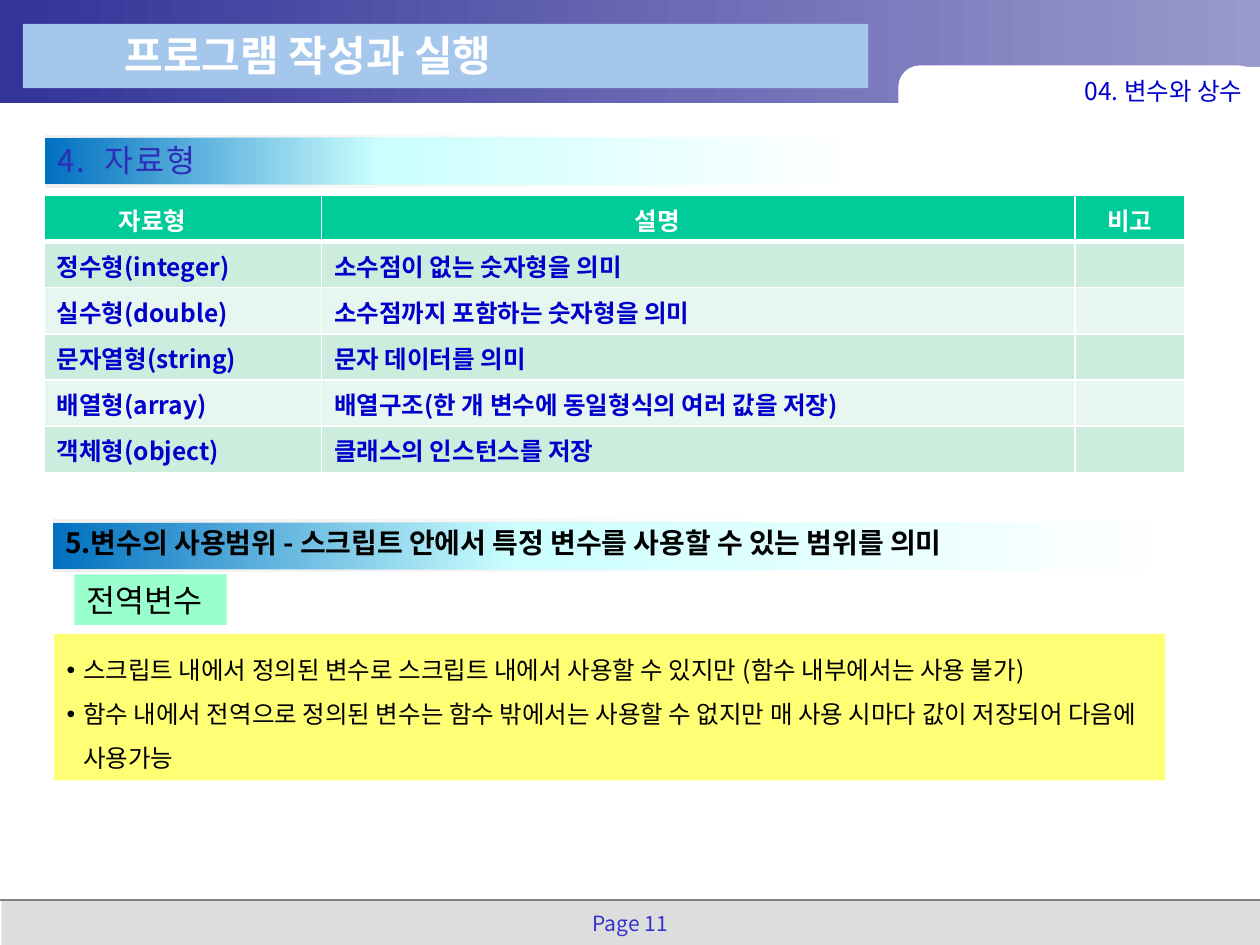
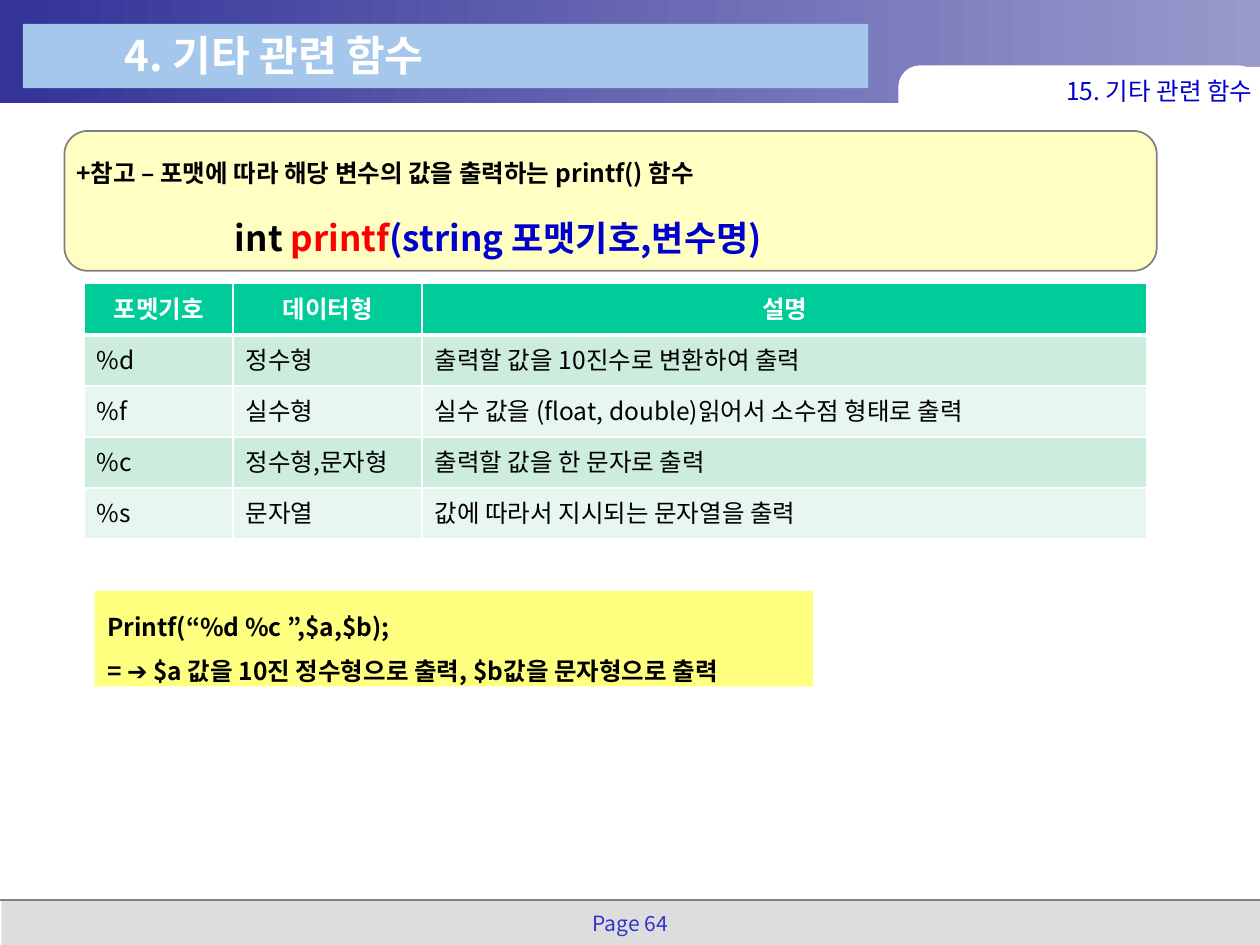
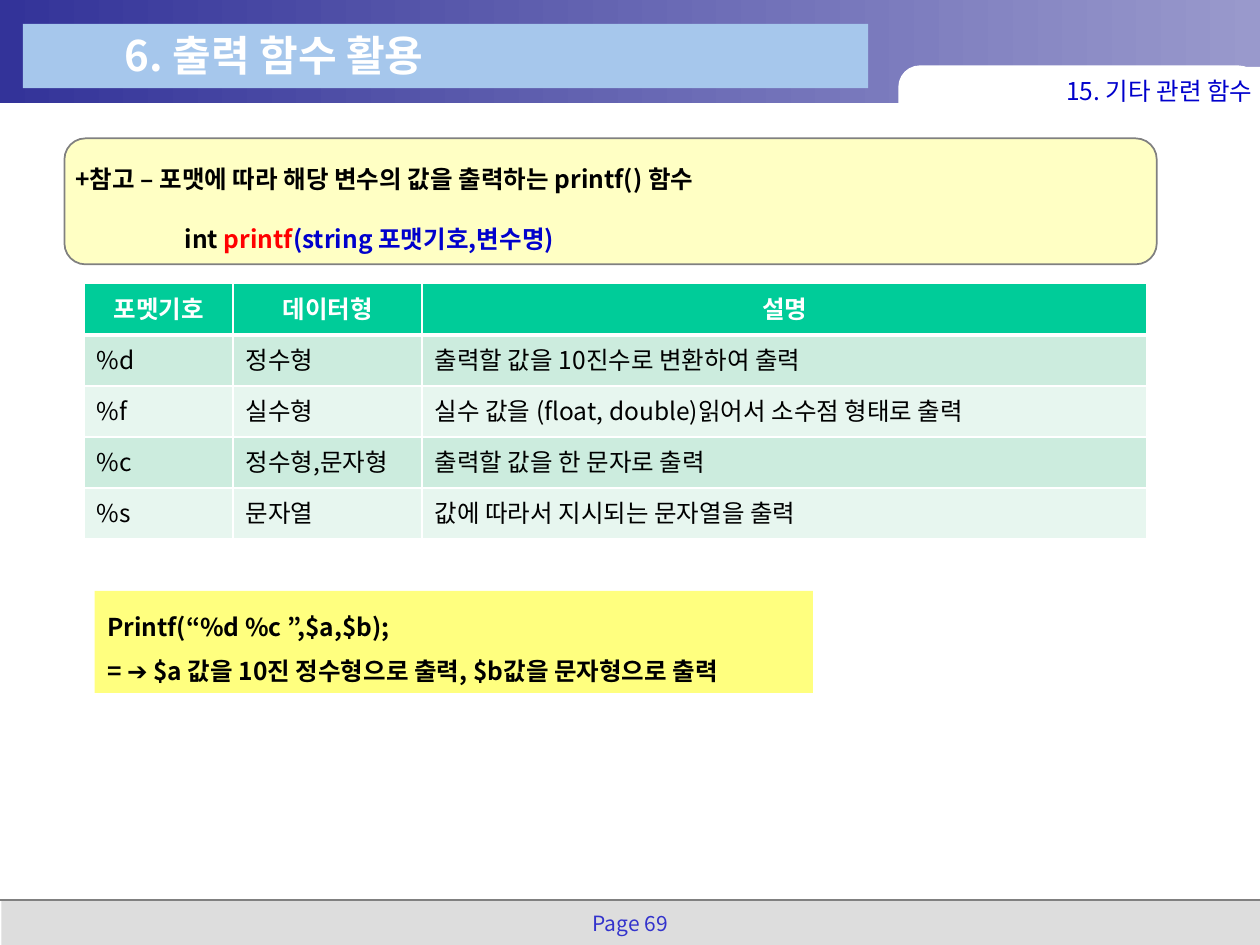
import lxml.etree
import pptx
import pptx.dml.color
import pptx.enum.shapes
import pptx.enum.text
import pptx.oxml.ns
import pptx.util

Cm = pptx.util.Cm
Pt = pptx.util.Pt
RGBColor = pptx.dml.color.RGBColor
SHAPE = pptx.enum.shapes.MSO_SHAPE
ALIGN = pptx.enum.text.PP_ALIGN
ANCHOR = pptx.enum.text.MSO_ANCHOR
qn = pptx.oxml.ns.qn
SubElement = lxml.etree.SubElement

FONT = "Noto Sans CJK KR"
WHITE = RGBColor(0xFF, 0xFF, 0xFF)
BLACK = RGBColor(0, 0, 0)
RED = RGBColor(0xFF, 0, 0)
YELLOW = RGBColor(0xFF, 0xFF, 0)
GRAY = RGBColor(0x80, 0x80, 0x80)
FOOTER_GRAY = RGBColor(0xDD, 0xDD, 0xDD)
BAND_DARK = RGBColor(0x33, 0x33, 0x99)
BAND_LIGHT = RGBColor(0x99, 0x99, 0xCC)
TITLE_PLATE = RGBColor(0xA6, 0xC7, 0xEC)
TEXT_BLUE = RGBColor(0, 0, 0xCC)
PAGE_BLUE = RGBColor(0x33, 0x33, 0xCC)
HEADING_BLUE = RGBColor(0x2D, 0x2D, 0xB9)
BAR_BLUE = RGBColor(0, 0x70, 0xC0)
BAR_CYAN = RGBColor(0xCC, 0xFF, 0xFF)
EDGE_START = RGBColor(0xF0, 0xF0, 0xF0)
EDGE_END = RGBColor(0xEA, 0xEA, 0xEA)
MINT = RGBColor(0x99, 0xFF, 0xCC)
HEADER_GREEN = RGBColor(0, 0xCC, 0x99)
ROW_DARK = RGBColor(0xCC, 0xEC, 0xDE)
ROW_LIGHT = RGBColor(0xE7, 0xF6, 0xEF)


def paint(shape, *stops):
    """Fill with one (position, colour, opacity) stop, or a gradient of several; no line or shadow."""
    shape.shadow.inherit = False
    shape.line.fill.background()
    properties = shape.element.spPr
    if len(stops) == 1:
        shape.fill.solid()
        shape.fill.fore_color.rgb = stops[0][1]
        colors = [properties.find(qn("a:solidFill")).find(qn("a:srgbClr"))]
    else:
        shape.fill.gradient()
        shape.fill.gradient_angle = 0
        stop_list = properties.find(".//" + qn("a:gsLst"))
        for old_stop in list(stop_list):
            stop_list.remove(old_stop)
        colors = []
        for position, color, _ in stops:
            stop = SubElement(stop_list, qn("a:gs"), pos=str(position * 1000))
            colors.append(SubElement(stop, qn("a:srgbClr"), val=str(color)))
    for color, (_, _, opacity) in zip(colors, stops):
        if opacity < 100:
            SubElement(color, qn("a:alpha"), val=str(opacity * 1000))


def add_run(paragraph, text, size, color, bold=False):
    run = paragraph.add_run()
    run.text = text
    run.font.size = Pt(size)
    run.font.bold = bold
    run.font.color.rgb = color
    run.font.name = FONT
    SubElement(run._r.get_or_add_rPr(), qn("a:ea"), typeface=FONT)
    return run


FORMAT_ROWS = [
    ["포멧기호", "데이터형", "설명"],
    ["%d", "정수형", "출력할 값을 10진수로 변환하여 출력"],
    ["%f", "실수형", "실수 값을 (float, double)읽어서 소수점 형태로 출력"],
    ["%c", "정수형,문자형", "출력할 값을 한 문자로 출력"],
    ["%s", "문자열", "값에 따라서 지시되는 문자열을 출력"],
]
TYPE_ROWS = [
    ["자료형", "설명", "비고"],
    ["정수형(integer)", "소수점이 없는 숫자형을 의미", ""],
    ["실수형(double)", "소수점까지 포함하는 숫자형을 의미", ""],
    ["문자열형(string)", "문자 데이터를 의미", ""],
    ["배열형(array)", "배열구조(한 개 변수에 동일형식의 여러 값을 저장)", ""],
    ["객체형(object)", "클래스의 인스턴스를 저장", ""],
]
TYPE_TABLE = dict(rows=TYPE_ROWS, left=0.89, top=3.94, widths=[5.59, 15.19, 2.21],
                  row_height=0.93, color=TEXT_BLUE, bold=True, header_insets=[1.47, 1.9, 0.25])
FORMAT_TABLE = dict(rows=FORMAT_ROWS, left=1.7, top=5.72, widths=[3, 3.81, 14.61],
                    row_height=1.03, color=BLACK, bold=False, header_insets=[0.25] * 3)
# layout index, title, section, section left, page, table
PAGES = [
    (1, "프로그램 작성과 실행", "04. 변수와 상수", 18.29, 11, TYPE_TABLE),
    (5, "4. 기타 관련 함수", "15. 기타 관련 함수", 18.49, 64, FORMAT_TABLE),
    (5, "6. 출력 함수 활용", "15. 기타 관련 함수", 18.49, 69, FORMAT_TABLE),
]

prs = pptx.Presentation()
prs.slide_width, prs.slide_height = Cm(25.4), Cm(19.05)
slides = [prs.slides.add_slide(prs.slide_layouts[page[0]]) for page in PAGES]

# Bands are drawn on the first slide, then moved to the master that all slides share
shapes = slides[0].shapes
bands = []
for kind, left, top, width, height, stops in [
    (SHAPE.RECTANGLE, 0.03, 18.14, 25.37, 0.91, [(0, FOOTER_GRAY, 100)]),
    (SHAPE.RECTANGLE, 0, 0, 25.4, 2.08, [(0, BAND_DARK, 100), (100, BAND_LIGHT, 100)]),
    (SHAPE.ROUNDED_RECTANGLE, 18.11, 1.32, 7.29, 1.5, [(0, WHITE, 100)]),
    (SHAPE.RECTANGLE, 23.11, 1.35, 2.29, 0.61, [(0, WHITE, 100)]),
    (SHAPE.RECTANGLE, 0.46, 0.48, 17.04, 1.3, [(0, TITLE_PLATE, 100)]),
]:
    band = shapes.add_shape(kind, Cm(left), Cm(top), Cm(width), Cm(height))
    paint(band, *stops)
    if kind == SHAPE.ROUNDED_RECTANGLE:
        band.adjustments[0] = 0.29
    bands.append(band)
footer_rule = shapes.add_connector(pptx.enum.shapes.MSO_CONNECTOR.STRAIGHT,
                                   0, Cm(18.14), Cm(25.4), Cm(18.14))
footer_rule.line.color.rgb = GRAY
footer_rule.line.width = Pt(1)
SubElement(footer_rule.element.spPr, qn("a:effectLst"))
bands.append(footer_rule)
for index, band in enumerate(bands):
    band.element.xpath(".//p:cNvPr")[0].set("id", str(100 + index))
    prs.slide_master.shapes.element.insert(2 + index, band.element)

# Title, section, page number and table of every slide
for slide, (_, title_text, section_text, section_left, page, data) in zip(slides, PAGES):
    title = slide.shapes.title
    title.left, title.top, title.width, title.height = Cm(2.26), Cm(0.46), Cm(12.62), Cm(1.27)
    title.text_frame.auto_size = pptx.enum.text.MSO_AUTO_SIZE.NONE
    title.text_frame.vertical_anchor = ANCHOR.TOP
    title.text_frame.paragraphs[0].alignment = ALIGN.LEFT
    add_run(title.text_frame.paragraphs[0], title_text, 24, WHITE, True)

    section = slide.shapes.add_textbox(Cm(section_left), Cm(1.42), Cm(6.86), Cm(0.81)).text_frame
    section.word_wrap = True
    section.vertical_anchor = ANCHOR.MIDDLE
    section.margin_left = section.margin_right = Cm(0.1)
    section.margin_top = section.margin_bottom = Cm(0.1)
    section.paragraphs[0].alignment = ALIGN.RIGHT
    add_run(section.paragraphs[0], section_text, 14, TEXT_BLUE)

    footer = slide.shapes.add_textbox(Cm(11.56), Cm(18.29), Cm(2.29), Cm(0.71)).text_frame
    footer.word_wrap = True
    footer.paragraphs[0].alignment = ALIGN.CENTER
    footer.paragraphs[0].line_spacing = 0.9
    add_run(footer.paragraphs[0], f"Page {page}", 12, PAGE_BLUE)

    rows, widths = data["rows"], data["widths"]
    table = slide.shapes.add_table(
        len(rows), len(widths), Cm(data["left"]), Cm(data["top"]),
        Cm(sum(widths)), Cm(data["row_height"] * len(rows))).table
    table.horz_banding = False
    for column, width in zip(table.columns, widths):
        column.width = Cm(width)
    for row_index, row in enumerate(rows):
        table.rows[row_index].height = Cm(data["row_height"])
        is_header = row_index == 0
        for column_index, text in enumerate(row):
            cell = table.cell(row_index, column_index)
            cell_properties = cell._tc.get_or_add_tcPr()
            for side in ("lnL", "lnR", "lnT", "lnB"):
                thick = (is_header and side == "lnB") or (row_index == 1 and side == "lnT")
                border = SubElement(cell_properties, qn("a:" + side), w=str(Pt(3 if thick else 1)))
                border_fill = SubElement(border, qn("a:solidFill"))
                SubElement(border_fill, qn("a:srgbClr"), val=str(WHITE))
            cell.fill.solid()
            cell.fill.fore_color.rgb = (
                HEADER_GREEN if is_header else ROW_DARK if row_index % 2 else ROW_LIGHT)
            paragraph = cell.text_frame.paragraphs[0]
            if is_header:
                paragraph.alignment = ALIGN.CENTER
                cell.margin_right = Cm(data["header_insets"][column_index])
                add_run(paragraph, text, 14, WHITE, True)
            elif text:
                add_run(paragraph, text, 14, data["color"], data["bold"])
            else:
                SubElement(paragraph._p, qn("a:endParaRPr"), sz="1400")

# Slide 1: section headings and global variables
shapes = slides[0].shapes
for left, top, width, text, size, color, bold, spacing in [
    (0.91, 2.77, 16.94, "4.  자료형", 18, HEADING_BLUE, False, 100),
    (1.07, 10.52, 23.29,
     "5.변수의 사용범위 - 스크립트 안에서 특정 변수를 사용할 수 있는 범위를 의미",
     16, BLACK, True, 0),
]:
    bar = shapes.add_shape(SHAPE.RECTANGLE, Cm(left), Cm(top), Cm(width), Cm(0.97))
    paint(bar, (0, BAR_BLUE, 100), (40, BAR_CYAN, 100), (97, WHITE, 100))
    for edge_top in (top - 0.04, top + 0.96):
        edge = shapes.add_shape(SHAPE.RECTANGLE, Cm(left), Cm(edge_top),
                                Cm(width * 0.63), Cm(0.05))
        paint(edge, (0, EDGE_START, 100), (100, EDGE_END, 0))
    heading = shapes.add_textbox(Cm(left), Cm(top - 0.06), Cm(width + 0.1), Cm(1)).text_frame
    heading.word_wrap = True
    run_properties = add_run(heading.paragraphs[0], text, size, color, bold)._r.rPr
    run_properties.set("spc", str(spacing))
    effects = lxml.etree.Element(qn("a:effectLst"))
    text_shadow = SubElement(effects, qn("a:outerShdw"), dist=str(Pt(2)), dir="2700000")
    SubElement(text_shadow, qn("a:srgbClr"), val=str(BLACK))
    run_properties.find(qn("a:solidFill")).addnext(effects)

global_label = shapes.add_shape(SHAPE.RECTANGLE, Cm(1.5), Cm(11.58), Cm(3.07), Cm(1.02))
paint(global_label, (0, MINT, 100))
global_label.text_frame.vertical_anchor = ANCHOR.TOP
global_label.text_frame.paragraphs[0].alignment = ALIGN.LEFT
add_run(global_label.text_frame.paragraphs[0], "전역변수", 18, BLACK)

scope = slides[0].placeholders[1]
scope.left, scope.top, scope.width, scope.height = Cm(1.09), Cm(12.78), Cm(22.4), Cm(2.95)
paint(scope, (0, YELLOW, 54))
scope.text_frame.auto_size = pptx.enum.text.MSO_AUTO_SIZE.NONE
scope.text_frame.vertical_anchor = ANCHOR.TOP
for index, text in enumerate([
    "스크립트 내에서 정의된 변수로 스크립트 내에서 사용할 수 있지만 (함수 내부에서는 사용 불가)",
    "함수 내에서 전역으로 정의된 변수는 함수 밖에서는 사용할 수 없지만 매 사용 시마다 값이 저장되어 다음에 사용가능",
]):
    paragraph = scope.text_frame.add_paragraph() if index else scope.text_frame.paragraphs[0]
    paragraph_properties = paragraph._p.get_or_add_pPr()
    paragraph_properties.set("marL", str(Cm(0.33)))
    paragraph_properties.set("indent", str(-Cm(0.33)))
    SubElement(paragraph_properties, qn("a:buChar"), char="•")
    paragraph.line_spacing = 1.5
    paragraph.space_before = Pt(0)
    add_run(paragraph, text, 14, BLACK)

# Slides 2 and 3: printf() note and example
for slide, note_top, note_height, syntax_size, syntax_indent, example_height in [
    (slides[1], 2.64, 2.82, 20, 3.2, 1.93),
    (slides[2], 2.79, 2.54, 14, 2.2, 2.06),
]:
    note = slide.shapes.add_shape(SHAPE.ROUNDED_RECTANGLE, Cm(1.3), Cm(note_top),
                                  Cm(22.02), Cm(note_height))
    paint(note, (0, YELLOW, 23))
    note.line.color.rgb = GRAY
    note.line.width = Pt(1)
    frame = note.text_frame
    frame.vertical_anchor = ANCHOR.MIDDLE
    frame.margin_left = frame.margin_right = frame.margin_top = frame.margin_bottom = Cm(0.1)
    summary = frame.paragraphs[0]
    summary.alignment = ALIGN.LEFT
    summary.line_spacing = 1.5
    add_run(summary, "+참고 – 포맷에 따라 해당 변수의 값을 출력하는 printf() 함수", 14, BLACK, True)
    syntax = frame.add_paragraph()
    syntax.alignment = ALIGN.LEFT
    syntax.space_before = Pt(17)
    syntax._p.get_or_add_pPr().set("marL", str(Cm(syntax_indent)))
    for text, color in [("int ", BLACK), ("printf", RED), ("(string 포맷기호,변수명)", TEXT_BLUE)]:
        add_run(syntax, text, syntax_size, color, True)

    example = slide.shapes.add_shape(SHAPE.RECTANGLE, Cm(1.91), Cm(11.91),
                                     Cm(14.48), Cm(example_height))
    paint(example, (0, YELLOW, 50))
    frame = example.text_frame
    frame.vertical_anchor = ANCHOR.TOP
    for index, text in enumerate([
        "Printf(“%d %c ”,$a,$b);",
        "= ➔ $a 값을 10진 정수형으로 출력, $b값을 문자형으로 출력",
    ]):
        paragraph = frame.add_paragraph() if index else frame.paragraphs[0]
        paragraph.alignment = ALIGN.LEFT
        paragraph.line_spacing = 1.5
        add_run(paragraph, text, 14, BLACK, True)

prs.save("out.pptx")
